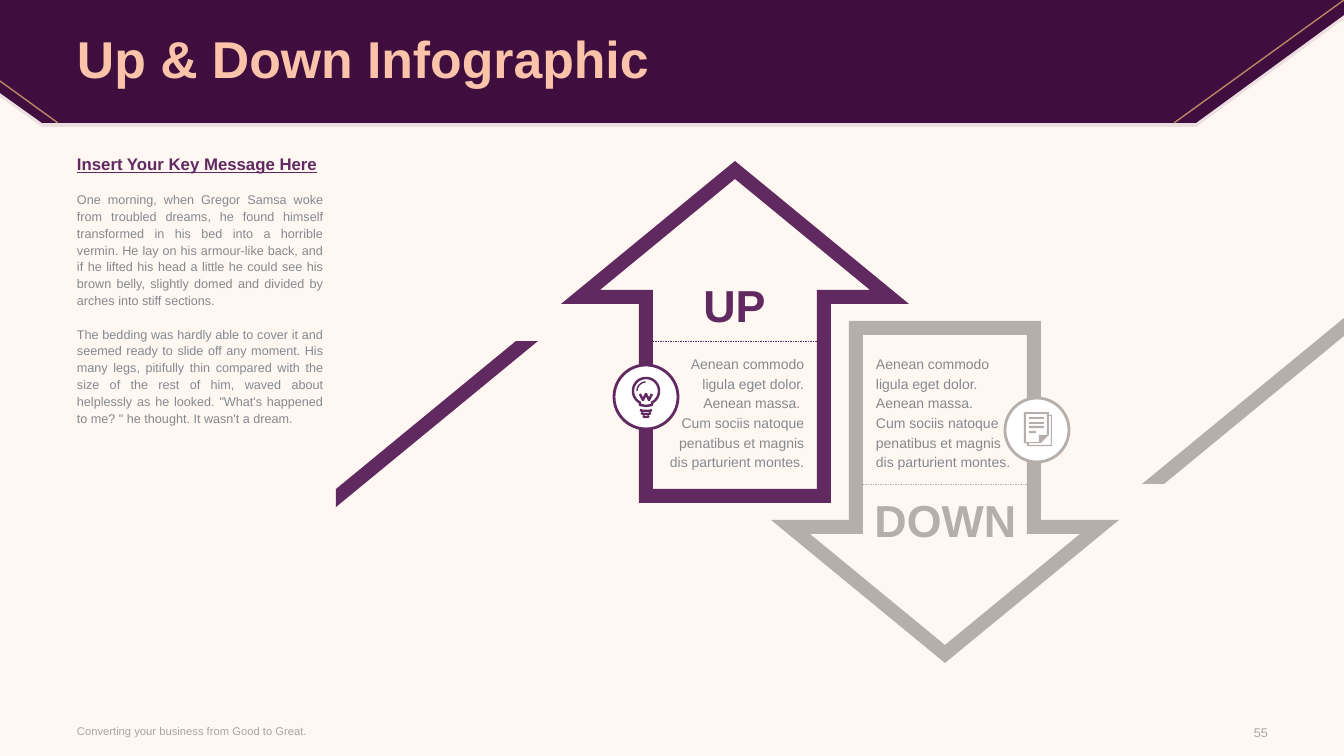
"""Build the Up & Down infographic slide."""
import math
from lxml import etree
from pptx import Presentation
from pptx import util as u
from pptx.dml.color import RGBColor
from pptx.enum import dml, shapes, text
from pptx.oxml.ns import qn

PX = 914400 / 100.8
THEME = {
    "color": {"bg": "FFF7F2", "band": "3F0D3E", "gold": "B98763", "title": "FBC4AA",
              "up": "602A60", "down": "B6AEAB", "body": "85898F", "foot": "A6A6A6",
              "white": "FFFFFF"},
    "size": {"title": 37, "word": 32, "key": 12, "label": 10, "body": 9, "foot": 8},
    "font": "Arial",
}
C = {name: RGBColor.from_string(rgb) for name, rgb in THEME["color"].items()}
SIZE = THEME["size"]
A = text.PP_ALIGN
TOP, MIDDLE = text.MSO_ANCHOR.TOP, text.MSO_ANCHOR.MIDDLE

prs = Presentation()
prs.slide_width, prs.slide_height = round(1344 * PX), round(756 * PX)
s = prs.slides.add_slide(prs.slide_layouts[5])
s.background.fill.solid()
s.background.fill.fore_color.rgb = C["bg"]


def outline(contours, color, stroke=None):
    """Draw contours in px as one filled shape, or as strokes of a given width."""
    pts = [[(x * PX, y * PX) for x, y in c] for c in contours]
    fb = s.shapes.build_freeform(*pts[0][0])
    for i, c in enumerate(pts):
        if i:
            fb.move_to(*c[0])
        fb.add_line_segments(c[1:], close=stroke is None)
    sp = fb.convert_to_shape()
    sp.shadow.inherit = False
    if stroke:
        sp.fill.background()
        sp.line.color.rgb, sp.line.width = C[color], u.Pt(stroke)
    else:
        sp.fill.solid()
        sp.fill.fore_color.rgb = C[color]
        sp.line.fill.background()
    return sp


def write(sp, box, paras, align, anchor=TOP, spacing=None):
    """Place a text shape and fill it with (text, size, colour, font values, space before)."""
    sp.left, sp.top, sp.width, sp.height = (round(v * PX) for v in box)
    tf = sp.text_frame
    frame = {"word_wrap": True, "auto_size": text.MSO_AUTO_SIZE.NONE, "vertical_anchor": anchor,
             "margin_left": 0, "margin_right": 0, "margin_top": 0, "margin_bottom": 0}
    for key, value in frame.items():
        setattr(tf, key, value)
    for i, (words, size, color, values, before) in enumerate(paras):
        p = tf.add_paragraph() if i else tf.paragraphs[0]
        p.alignment = align
        if spacing:
            p.line_spacing = spacing
        if before:
            p.space_before = u.Pt(before)
        r = p.add_run()
        r.text = words
        font = {"name": THEME["font"], "size": u.Pt(SIZE[size]), "bold": False, **values}
        for key, value in font.items():
            setattr(r.font, key, value)
        r.font.color.rgb = C[color]


band = [(1196, 123), (42, 123), (0, 93), (0, 0), (1344, 0), (1344, 15)]
shade = outline([[(x, y + 4) for x, y in band]], "band")
rgb = shade.fill._xPr.find(qn("a:solidFill"))[0]
etree.SubElement(rgb, qn("a:alpha")).set("val", "10000")
outline([band], "band")

title = s.shapes.title
title.element.getparent().append(title.element)
write(title, (77, 3, 1190, 118),
      [("Up & Down Infographic", "title", "title", {"bold": True}, 0)], A.LEFT, MIDDLE, 0.9)

message = [
    ("Insert Your Key Message Here", "key", "up", {"bold": True, "underline": True}, 0),
    ("One morning, when Gregor Samsa woke from troubled dreams, he found himself transformed "
     "in his bed into a horrible vermin. He lay on his armour-like back, and if he lifted his "
     "head a little he could see his brown belly, slightly domed and divided by arches into "
     "stiff sections.", "body", "body", {}, 12),
    ("The bedding was hardly able to cover it and seemed ready to slide off any moment. His "
     "many legs, pitifully thin compared with the size of the rest of him, waved about "
     "helplessly as he looked. \"What's happened to me? \" he thought. It wasn't a dream.",
     "body", "body", {}, 12),
]

half_outer = [(174, 143), (96, 143), (96, 342)]
half_inner = [(135, 129), (82, 129), (82, 328)]
for color, x0, y0, sign, sx, sy in (("down", 945, 663, -1, 1142, 484),
                                    ("up", 735, 161, 1, 538, 341)):
    arrow = []
    for tip, half in ((0, half_outer), (18, half_inner)):
        ring = [(0, tip)] + half + [(-x, y) for x, y in reversed(half)]
        arrow.append([(x0 + x, y0 + sign * y) for x, y in ring])
    outline(arrow, color)
    slash = [(0, 0), (-202, 166), (-202, 148), (-22, 0)]
    outline([[(sx + sign * x, sy + sign * y) for x, y in slash]], color)

for x1, y1, x2, y2, color, width, dash in (
        (1344, 0, 1174, 123, "gold", 1, None),
        (58, 123, 0, 81, "gold", 1, None),
        (653, 341, 818, 341, "up", 0.25, dml.MSO_LINE.DASH),
        (863, 484, 1028, 484, "down", 0.25, dml.MSO_LINE.DASH)):
    ln = s.shapes.add_connector(shapes.MSO_CONNECTOR.STRAIGHT,
                                *(round(v * PX) for v in (x1, y1, x2, y2)))
    ln.line.color.rgb, ln.line.width = C[color], u.Pt(width)
    if dash:
        ln.line.dash_style = dash
    etree.SubElement(ln.element.spPr, qn("a:effectLst"))

for x, y, color in ((614, 365, "up"), (1005, 398, "down")):
    badge = s.shapes.add_shape(shapes.MSO_SHAPE.OVAL, *(round(v * PX) for v in (x, y, 64, 64)))
    badge.shadow.inherit = False
    badge.fill.solid()
    badge.fill.fore_color.rgb = C["white"]
    badge.line.color.rgb, badge.line.width = C[color], u.Pt(2)

bx, by = 646, 391


def_arcs = []
for radius, start, end in ((13, 118, 422), (9, 180, 270)):
    angles = [math.radians(a) for a in range(start, end + 1, 4)]
    def_arcs.append([(bx + radius * math.cos(a), by + radius * math.sin(a)) for a in angles])
glass, shine = def_arcs
glass += [(bx + 6, 405), (bx, 406), (bx - 6, 405), glass[0]]
filament = [(bx - 6, 394), (bx - 3, 400), (bx, 394), (bx + 3, 400), (bx + 6, 394)]
screw = [[(bx - w, y), (bx - w / 2, y + 1), (bx + w / 2, y + 1), (bx + w, y)]
         for w, y in ((6, 410), (5, 413), (3, 416))]
outline([glass, filament] + screw, "up", 1.75)
outline([shine], "up", 1)

page = [
    [(1024, 412), (1049, 412), (1049, 415), (1052, 415), (1052, 446), (1027, 446),
     (1027, 443), (1024, 443)],
    [(1026, 414), (1047, 414), (1047, 435), (1039, 435), (1039, 442), (1026, 442)],
    [(1051, 445), (1029, 445), (1029, 443), (1041, 443), (1049, 435), (1049, 416), (1051, 416)],
]
for y, right in ((417, 1044), (422, 1044), (426, 1044), (431, 1036)):
    page.append([(1029, y), (right, y), (right, y + 2), (1029, y + 2)])
outline(page, "down")

first = "Aenean commodo ligula eget dolor. Aenean massa."
second = ("Cum sociis natoque penatibus et magnis dis parturient montes.", "label", "body", {}, 0)
for box, paras, align, anchor, spacing in (
        ((77, 157, 246, 523), message, A.JUSTIFY, TOP, u.Pt(12)),
        ((77, 718, 527, 26), [("Converting your business from Good to Great.", "foot", "foot",
                               {}, 0)], A.LEFT, MIDDLE, None),
        ((1205, 719, 63, 26), [("55", "body", "foot", {}, 0)], A.RIGHT, MIDDLE, None),
        ((665, 353, 139, 119), [(first + " ", "label", "body", {}, 0), second],
         A.RIGHT, TOP, u.Pt(14)),
        ((665, 278, 139, 54), [("UP", "word", "up", {"bold": True}, 0)], A.CENTER, TOP, None),
        ((876, 353, 139, 119), [(first, "label", "body", {}, 0), second],
         A.LEFT, TOP, u.Pt(14)),
        ((868, 493, 155, 54), [("DOWN", "word", "down", {"bold": True}, 0)],
         A.CENTER, TOP, None)):
    write(s.shapes.add_textbox(0, 0, 0, 0), box, paras, align, anchor, spacing)

prs.save("out.pptx")
